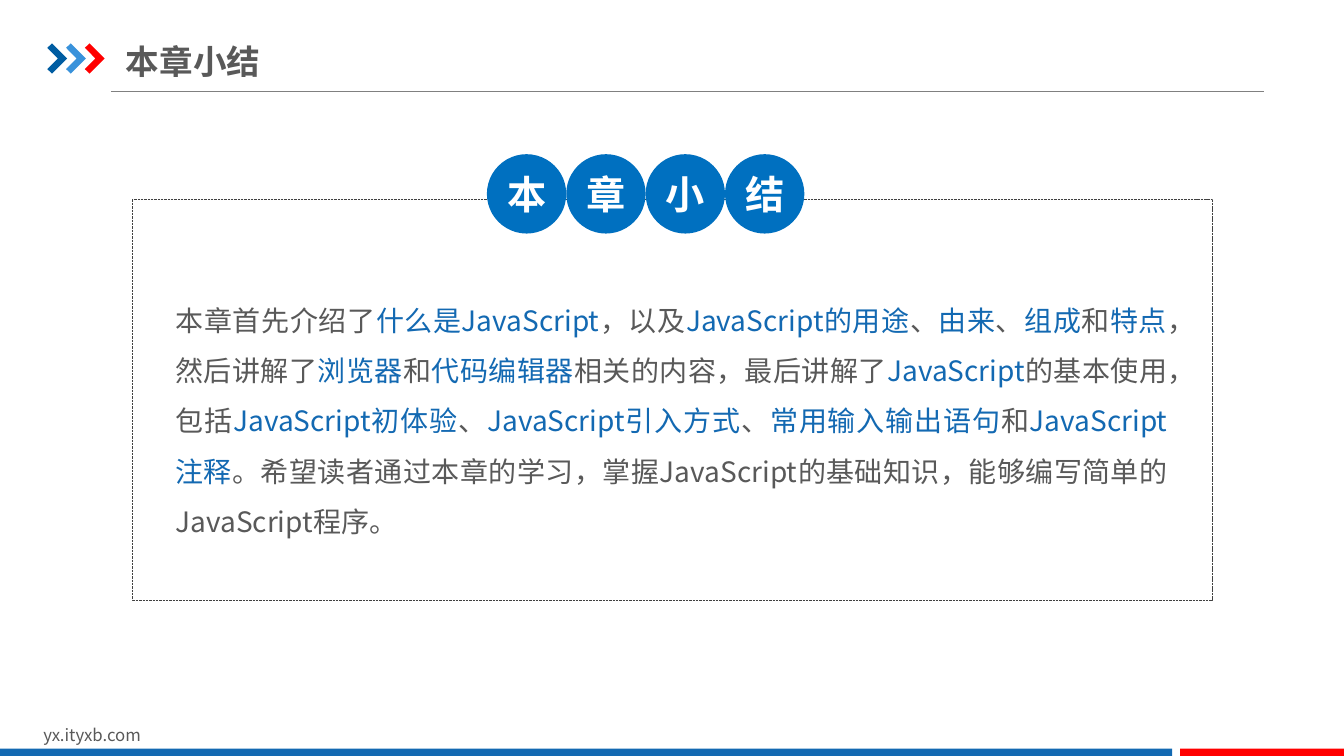
from dataclasses import dataclass

from lxml import etree
from pptx import Presentation
from pptx.dml.color import RGBColor
from pptx.enum.dml import MSO_LINE
from pptx.enum.shapes import MSO_CONNECTOR, MSO_SHAPE
from pptx.enum.text import MSO_ANCHOR, PP_ALIGN
from pptx.oxml.ns import qn
from pptx.util import Pt

STRAIGHT = MSO_CONNECTOR.STRAIGHT
RECTANGLE, ROUNDED, OVAL = MSO_SHAPE.RECTANGLE, MSO_SHAPE.ROUNDED_RECTANGLE, MSO_SHAPE.OVAL
TOP, MIDDLE = MSO_ANCHOR.TOP, MSO_ANCHOR.MIDDLE
LEFT, CENTER, JUSTIFY = PP_ALIGN.LEFT, PP_ALIGN.CENTER, PP_ALIGN.JUSTIFY
SHORT_DASH = MSO_LINE.SQUARE_DOT


@dataclass(frozen=True)
class Theme:
    font: str = "Noto Sans CJK SC"
    text: str = "595959"
    accent: str = "1369B2"
    red: str = "FF0000"
    white: str = "FFFFFF"
    badge: str = "0070C0"
    rule: str = "808080"
    frame: str = "404040"
    chevrons: tuple = ("005DA2", "3992DB", "FF0000")
    site_size: float = 12
    body_size: float = 20
    title_size: float = 24
    badge_size: float = 28


THEME = Theme()
WIDTH, HEIGHT = 960, 540
TITLE = "本章小结"
SITE = "yx.ityxb.com"
# Plain and highlighted passages alternate, starting with a plain one.
SUMMARY = (
    "本章首先介绍了", "什么是JavaScript", "，以及", "JavaScript的用途", "、", "由来",
    "、", "组成", "和", "特点", "，然后讲解了", "浏览器", "和", "代码编辑器",
    "相关的内容，最后讲解了", "JavaScript", "的基本使用，包括", "JavaScript初体验",
    "、", "JavaScript引入方式", "、", "常用输入输出语句", "和", "JavaScript注释",
    "。希望读者通过本章的学习，掌握JavaScript的基础知识，能够编写简单的JavaScript程序。",
)


def rgb(value):
    return RGBColor.from_string(value)


def paint(shape, fill):
    """Give a shape a flat fill without outline or shadow."""
    shape.shadow.inherit = False
    shape.fill.solid()
    shape.fill.fore_color.rgb = rgb(fill)
    shape.line.fill.background()


def add_block(page, kind, box, fill):
    block = page.shapes.add_shape(kind, *map(Pt, box))
    paint(block, fill)
    return block


def write(shape, spans, size, bold=False, align=LEFT, anchor=TOP, insets=(0, 0), spacing=None):
    """Write (text, colour) spans as one paragraph; insets are horizontal, vertical."""
    frame = shape.text_frame
    frame.word_wrap = True
    frame.vertical_anchor = anchor
    frame.margin_left = frame.margin_right = Pt(insets[0])
    frame.margin_top = frame.margin_bottom = Pt(insets[1])
    para = frame.paragraphs[0]
    para.alignment = align
    if spacing:
        para.line_spacing = spacing
    for text, color in spans:
        span = para.add_run()
        span.text = text
        span.font.size = Pt(size)
        span.font.bold = bold
        span.font.color.rgb = rgb(color)
        span.font.name = THEME.font
        east_asian = etree.SubElement(span._r.get_or_add_rPr(), qn("a:ea"))
        east_asian.set("typeface", THEME.font)


def add_chevron(page, left, top, fill):
    outline = [(0, 3.2), (3.4, 0), (14.2, 10.8), (3.4, 21.6), (0, 18.4), (7.6, 10.8)]
    points = [(Pt(left + x), Pt(top + y)) for x, y in outline]
    builder = page.shapes.build_freeform(*points[0], scale=1.0)
    builder.add_line_segments(points[1:], close=True)
    paint(builder.convert_to_shape(), fill)


def add_header(page, left, top, width, height):
    for index, color in enumerate(THEME.chevrons):
        add_chevron(page, left + 13.4 * index, top + 5, color)
    title = page.shapes.add_textbox(Pt(left + 56.2), Pt(top), Pt(379), Pt(34.6))
    write(title, [(TITLE, THEME.text)], THEME.title_size, bold=True, anchor=MIDDLE, insets=(0, 5))
    bottom = Pt(top + height)
    rule = page.shapes.add_connector(STRAIGHT, Pt(left + 45.4), bottom, Pt(left + width), bottom)
    rule.line.color.rgb = rgb(THEME.rule)
    rule.line.width = Pt(0.75)
    etree.SubElement(rule._element.spPr, qn("a:effectLst"))


def add_badges(page, center, middle, size):
    """Set one title character in each of a row of touching circles."""
    left = center - size * len(TITLE) / 2
    for index, character in enumerate(TITLE):
        box = (left + size * index, middle - size / 2, size, size)
        badge = add_block(page, OVAL, box, THEME.badge)
        write(badge, [(character, THEME.white)], THEME.badge_size, bold=True,
              align=CENTER, anchor=MIDDLE)


def add_summary(page, left, top, width, height):
    frame = page.shapes.add_shape(ROUNDED, Pt(left), Pt(top), Pt(width), Pt(height))
    frame.adjustments[0] = 0
    frame.shadow.inherit = False
    frame.fill.background()
    frame.line.color.rgb = rgb(THEME.frame)
    frame.line.width = Pt(0.25)
    frame.line.dash_style = SHORT_DASH

    body = page.shapes.add_textbox(Pt(left + 31), Pt(top + 62), Pt(width - 62.6), Pt(181.4))
    colors = (THEME.text, THEME.accent)
    spans = [(text, colors[index % 2]) for index, text in enumerate(SUMMARY)]
    write(body, spans, THEME.body_size, align=JUSTIFY, spacing=1.5)
    add_badges(page, left + width / 2 - 18.8, top - 4, 56.7)


def add_footer(page, left, top, width, height):
    site = page.shapes.add_textbox(Pt(left + 23.8), Pt(top), Pt(229), Pt(21.8))
    write(site, [(SITE, THEME.text)], THEME.site_size, insets=(7.2, 3.6))
    bar, gap, tall = 837.2, 5.8, 6.2
    bar_top = top + height - tall
    add_block(page, RECTANGLE, (left, bar_top, bar, tall), THEME.accent)
    add_block(page, RECTANGLE, (left + bar + gap, bar_top, width - bar - gap, tall), THEME.red)


def main():
    deck = Presentation()
    deck.slide_width, deck.slide_height = Pt(WIDTH), Pt(HEIGHT)
    page = deck.slides.add_slide(deck.slide_layouts[6])
    add_header(page, 33.8, 26, 869.1, 39.4)
    add_footer(page, 0, 514, WIDTH, 27)
    add_summary(page, 94.4, 142.5, 771.2, 286.5)
    deck.save("out.pptx")


if __name__ == "__main__":
    main()
